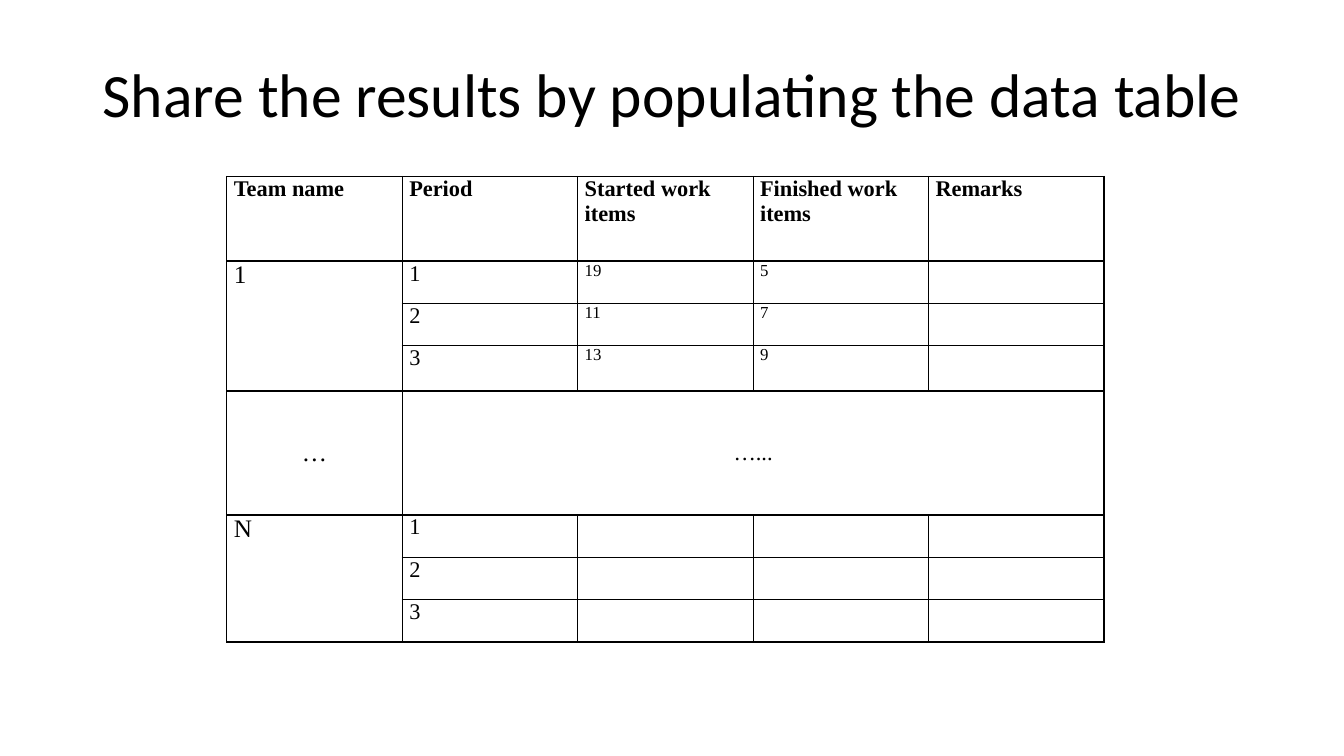
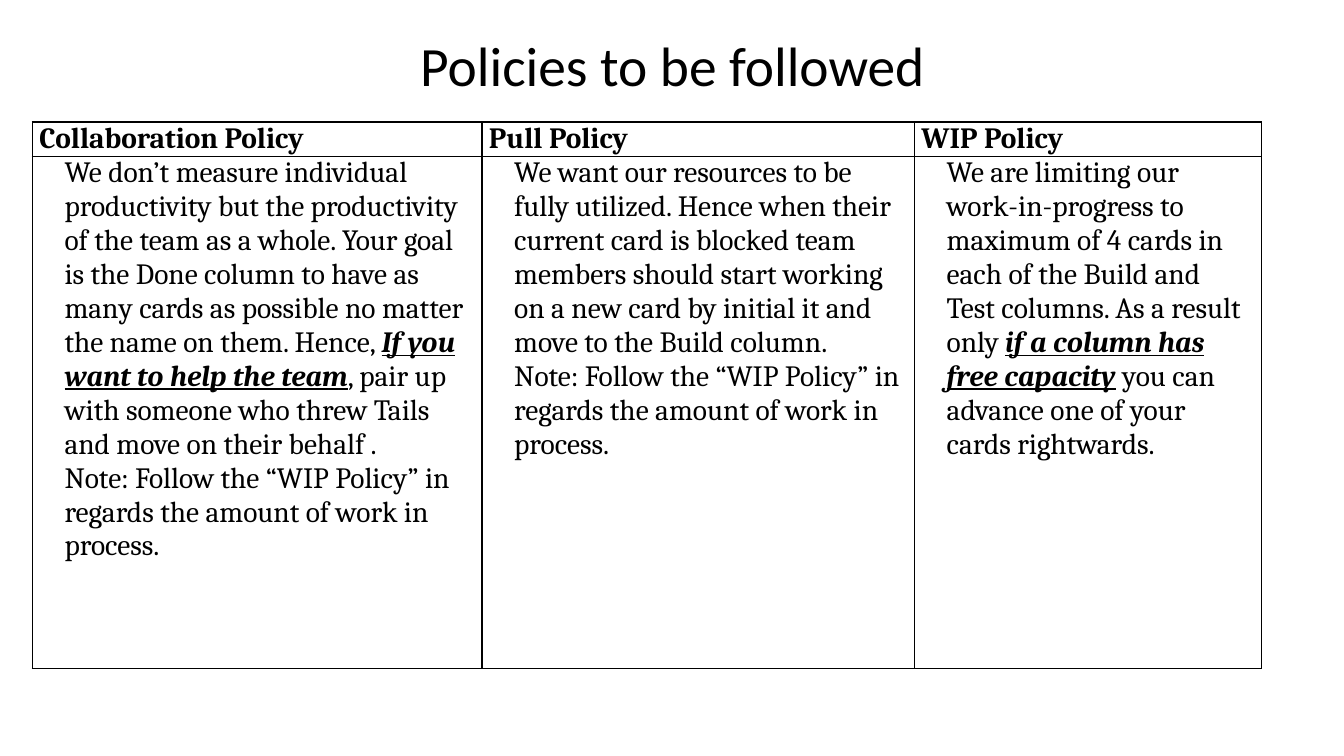
from lxml.etree import SubElement
from pptx import Presentation
from pptx.dml.color import RGBColor
from pptx.enum.text import MSO_ANCHOR, MSO_AUTO_SIZE, PP_ALIGN
from pptx.oxml.ns import qn
from pptx.util import Inches, Pt

BLACK = RGBColor(0x00, 0x00, 0x00)
WHITE = RGBColor(0xFF, 0xFF, 0xFF)
TITLE_ONLY = 5


class Deck:
    """Shared style, the presentation and its current slide."""

    title_font = "Calibri"
    cell_margin = Inches(0.07)
    border_width = Pt(1)

    def __init__(self):
        self.presentation = Presentation()
        self.presentation.slide_width = Inches(13.33)
        self.presentation.slide_height = Inches(7.5)
        self.slide = None

    def add_slide(self, title, top, height, size):
        layout = self.presentation.slide_layouts[TITLE_ONLY]
        self.slide = self.presentation.slides.add_slide(layout)
        heading = self.slide.shapes.title
        heading.left, heading.top = Inches(0.67), Inches(top)
        heading.width, heading.height = Inches(12), Inches(height)
        frame = heading.text_frame
        frame.text = title
        frame.auto_size = MSO_AUTO_SIZE.NONE
        frame.vertical_anchor = MSO_ANCHOR.MIDDLE
        paragraph = frame.paragraphs[0]
        paragraph.alignment = PP_ALIGN.CENTER
        self.set_font(paragraph.font, self.title_font, size)

    def add_table(self, left, top, widths, heights, rows, face, sizes,
                  header_size, merges=(), centred_rows=(), indent=0):
        """Draw a ruled table; sizes holds one body text size per column."""
        table = self.slide.shapes.add_table(
            len(heights), len(widths), Inches(left), Inches(top),
            Inches(sum(widths)), Inches(sum(heights))).table
        table.first_row = table.horz_banding = False
        for column, width in zip(table.columns, widths):
            column.width = Inches(width)
        for row, height in zip(table.rows, heights):
            row.height = Inches(height)
        for r, texts in enumerate(rows):
            for c, text in enumerate(texts):
                cell = table.cell(r, c)
                self.style_cell(cell)
                self.fill_text(cell.text_frame, text)
                for paragraph in cell.text_frame.paragraphs:
                    size = sizes[c] if r else header_size
                    self.set_font(paragraph.font, face, size, bold=r == 0)
                    if r and indent:
                        properties = paragraph._p.get_or_add_pPr()
                        properties.set("marL", str(Inches(indent)))
                        properties.set("indent", "0")
                    if r in centred_rows:
                        paragraph.alignment = PP_ALIGN.CENTER
                        cell.vertical_anchor = MSO_ANCHOR.MIDDLE
        for first, last in merges:
            table.cell(*first).merge(table.cell(*last))

    def style_cell(self, cell):
        cell.margin_left = cell.margin_right = self.cell_margin
        cell.margin_top = cell.margin_bottom = 0
        properties = cell._tc.get_or_add_tcPr()
        for side in ("lnL", "lnR", "lnT", "lnB"):
            line = SubElement(properties, qn(f"a:{side}"),
                              w=str(self.border_width))
            fill = SubElement(line, qn("a:solidFill"))
            SubElement(fill, qn("a:srgbClr"), val=str(BLACK))
        cell.fill.solid()
        cell.fill.fore_color.rgb = WHITE

    @staticmethod
    def fill_text(frame, text):
        """Make one paragraph per line; text between asterisks is stressed."""
        for number, line in enumerate(text.split("\n")):
            paragraph = frame.add_paragraph() if number else frame.paragraphs[0]
            for position, part in enumerate(line.split("*")):
                if part:
                    run = paragraph.add_run()
                    run.text = part
                    if position % 2:
                        font = run.font
                        font.bold = font.italic = font.underline = True

    @staticmethod
    def set_font(font, face, size, bold=False):
        font.name, font.size, font.bold = face, Pt(size), bold
        font.color.rgb = BLACK


def add_results_slide(deck):
    deck.add_slide("Share the results by populating the data table",
                   top=0.3, height=1.25, size=44)
    results = [
        ["Team name", "Period", "Started work items", "Finished work items",
         "Remarks"],
        ["1", "1", "19", "5", ""],
        ["", "2", "11", "7", ""],
        ["", "3", "13", "9", ""],
        ["…", "…...", "", "", ""],
        ["N", "1", "", "", ""],
        ["", "2", "", "", ""],
        ["", "3", "", "", ""],
    ]
    deck.add_table(
        2.25, 1.75, [1.74] * 5,
        [0.84, 0.42, 0.42, 0.45, 1.23, 0.42, 0.42, 0.42], results,
        "Times New Roman", sizes=[18, 16, 12, 12, 12], header_size=16,
        merges=[((1, 0), (3, 0)), ((4, 1), (4, 4)), ((5, 0), (7, 0))],
        centred_rows=[4])


def add_policies_slide(deck):
    deck.add_slide("Policies to be followed", top=0.22, height=0.83, size=39.6)
    note = ("\nNote: Follow the “WIP Policy” in regards the amount of work "
            "in process.")
    policies = {
        "Collaboration Policy":
            "We don’t measure individual productivity but the productivity of "
            "the team as a whole. Your goal is the Done column to have as many "
            "cards as possible no matter the name on them. Hence, *If you want "
            "to help the team*, pair up with someone who threw Tails and move "
            "on their behalf ." + note,
        "Pull Policy":
            "We want our resources to be fully utilized. Hence when their "
            "current card is blocked team members should start working on a "
            "new card by initial it and move to the Build column." + note,
        "WIP Policy":
            "We are limiting our work-in-progress to maximum of 4 cards in "
            "each of the Build and Test columns. As a result only *if a column "
            "has free capacity* you can advance one of your cards rightwards.",
    }
    deck.add_table(
        0.32, 1.21, [4.46, 4.29, 3.44], [0.34, 5.08],
        [list(policies), list(policies.values())],
        "Cambria", sizes=[21] * 3, header_size=21, indent=0.25)


def main():
    deck = Deck()
    add_results_slide(deck)
    add_policies_slide(deck)
    deck.presentation.save("out.pptx")


if __name__ == "__main__":
    main()
